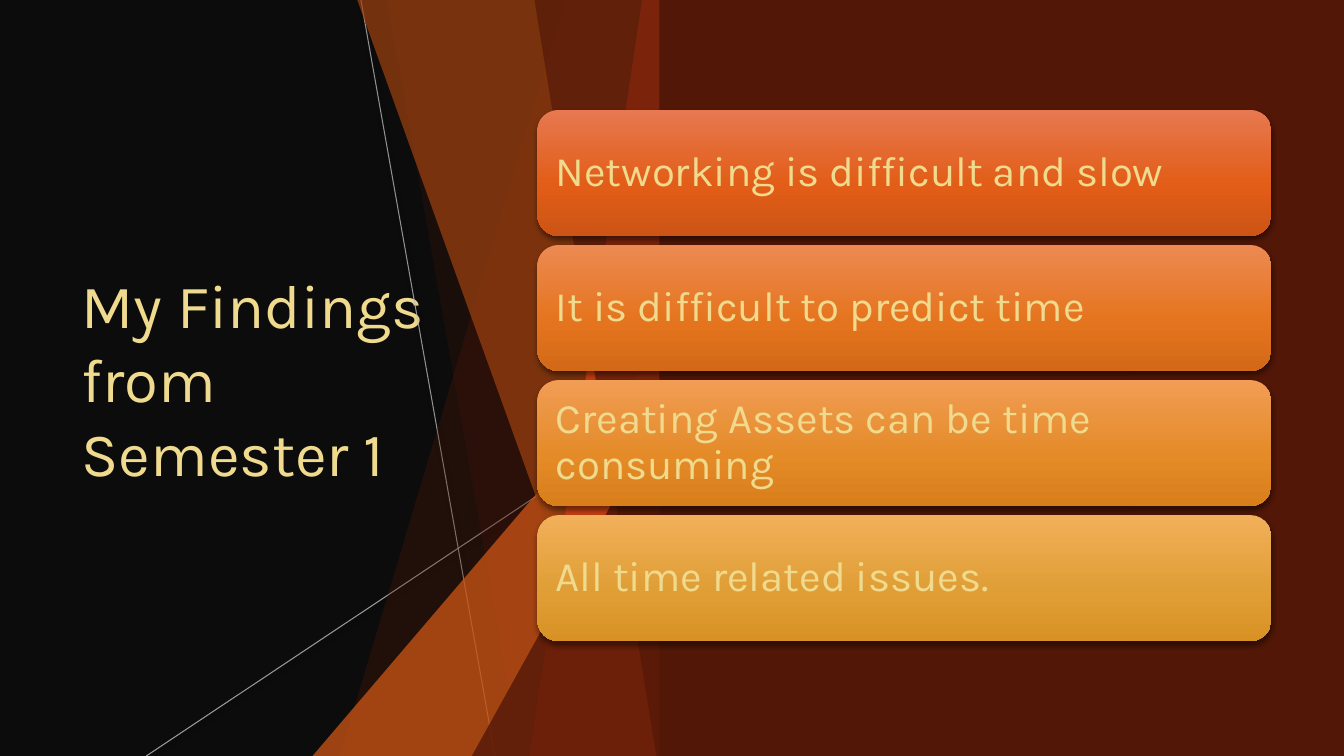
"""Build the slide of findings: a title, folded bands and four cards."""
from copy import deepcopy
from lxml.etree import SubElement as Sub
from pptx import Presentation
from pptx.dml.color import RGBColor as Rgb
from pptx.enum.shapes import MSO_CONNECTOR as Link, MSO_SHAPE as Kind
from pptx.enum.text import MSO_ANCHOR as Anchor, MSO_AUTO_SIZE as Size, PP_ALIGN as Align
from pptx.oxml.ns import qn
from pptx.util import Inches as In, Pt

HUES = {name: Rgb.from_string(code) for name, code in {
    "night": "0C0C0C", "wine": "521707", "rust": "D55816", "brown": "A04210",
    "red": "EB4416", "cream": "EFDA8E", "grey": "BFBFBF"}.items()}
WIDE, HIGH = 13.33, 7.5
FOLD = 6.66


def fade(shape, share):
    """Set the opacity of the shape's one colour, in percent."""
    tint = next(shape.element.iter(qn("a:srgbClr")))
    Sub(tint, qn("a:alpha"), val=str(share * 1000))


def shade(shape, blur, drop, share):
    """Cast a black shadow straight down."""
    glow = Sub(shape.element.spPr, qn("a:effectLst"))
    cast = Sub(glow, qn("a:outerShdw"), blurRad=str(Pt(blur)), dist=str(Pt(drop)),
               dir="5400000", algn="ctr", rotWithShape="0")
    tint = Sub(cast, qn("a:srgbClr"), val="000000")
    Sub(tint, qn("a:alpha"), val=str(share * 1000))


deck = Presentation()
deck.slide_width, deck.slide_height = In(WIDE), In(HIGH)
slide = deck.slides.add_slide(deck.slide_layouts[5])
back = slide.background.fill
back.solid()
back.fore_color.rgb = HUES["night"]

title = slide.shapes.title
spot = {"left": 0.71, "top": 1.51, "width": 3.88, "height": 4.48}
for key, value in spot.items():
    setattr(title, key, In(value))
title.text_frame.text = "My Findings from Semester 1"
look = {"auto_size": Size.NONE, "word_wrap": True, "vertical_anchor": Anchor.MIDDLE}
for key, value in look.items():
    setattr(title.text_frame, key, value)
title.text_frame.paragraphs[0].alignment = Align.LEFT

art = slide.shapes.add_group_shape().shapes
for ends, share in [((3.58, 0, 4.91, HIGH), 75), ((FOLD, 4.03, 1.45, HIGH), 80)]:
    ray = art.add_connector(Link.STRAIGHT, *map(In, ends))
    ray.line.width = Pt(0.75)
    ray.line.color.rgb = HUES["grey"]
    fade(ray, share)
    shade(ray, 3, 2, 28)

bands = [
    ("blade", 5.61, 3.37, "wine", 30),
    ("blade", 3.84, 5.16, "wine", 20),
    ("wedge", 3.1, 3.33, "rust", 72),
    ("blade", 3.54, 6.24, "brown", 70),
    ("blade", 6.37, 5.25, "red", 70),
    ("blade", 5.3, 6.51, "wine", 65),
    ("wedge", 4.68, 3.93, "wine", 80),
    ("panel", 6.54, 0, "wine", 100),
]
for form, one, two, hue, share in bands:
    if form == "blade":
        pen = art.build_freeform(In(one), In(-0.01))
        pen.add_line_segments([(In(x), In(y)) for x, y in
                               [(FOLD, -0.01), (FOLD, HIGH), (two, HIGH)]])
        band = pen.convert_to_shape()
    elif form == "wedge":
        band = art.add_shape(Kind.ISOSCELES_TRIANGLE, In(one), In(two),
                             In(FOLD - one), In(HIGH - two))
        band.adjustments[0] = 1
    else:
        band = art.add_shape(Kind.RECTANGLE, In(one), In(two), In(WIDE - one), In(HIGH))
    band.fill.solid()
    band.fill.fore_color.rgb = HUES[hue]
    fade(band, share)
    band.line.fill.background()
    band.shadow.inherit = False

cards = [
    ("Networking is difficult and slow", ("E77850", "E25D17", "CC5415")),
    ("It is difficult to predict time", ("EC8A52", "E5741E", "D26918")),
    ("Creating Assets can be time consuming", ("F19D55", "E48B28", "D87E1B")),
    ("All time related issues.", ("F1B059", "E09E36", "D89224")),
]
lines = [title.text_frame.paragraphs[0]]
for row, (words, tones) in enumerate(cards):
    card = slide.shapes.add_shape(Kind.ROUNDED_RECTANGLE, In(5.33), In(1.09 + row * 1.34),
                                  In(7.28), In(1.25))
    card.fill.gradient()
    card.fill.gradient_angle = 270
    stops = next(card.element.iter(qn("a:gsLst")))
    stops.append(deepcopy(stops[-1]))
    for stop, place, tone in zip(card.fill.gradient_stops, (0, 0.6, 1), tones):
        stop.position = place
        stop.color.rgb = Rgb.from_string(tone)
    card.line.fill.background()
    shade(card, 4, 2.5, 47)
    frame = card.text_frame
    frame.text = words
    frame.word_wrap = True
    frame.vertical_anchor = Anchor.MIDDLE
    for side in ("left", "top", "right", "bottom"):
        setattr(frame, f"margin_{side}", In(0.12))
    line = frame.paragraphs[0]
    line.alignment = Align.LEFT
    line.line_spacing = 0.9
    lines.append(line)

for line in lines:
    font = line.runs[0].font
    font.name = "Karla"
    font.size = Pt(44 if line is lines[0] else 30)
    font.color.rgb = HUES["cream"]

deck.save("out.pptx")
